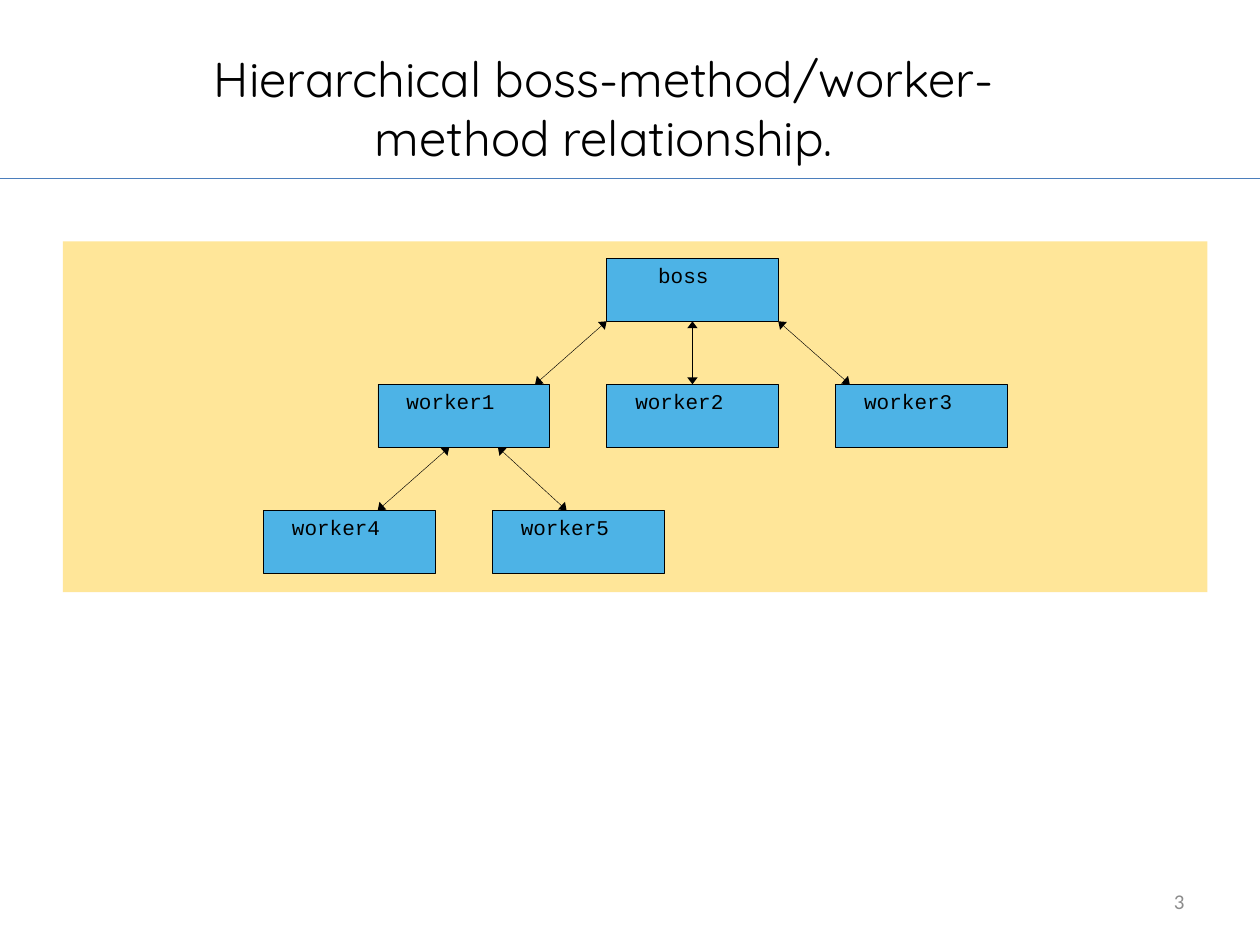
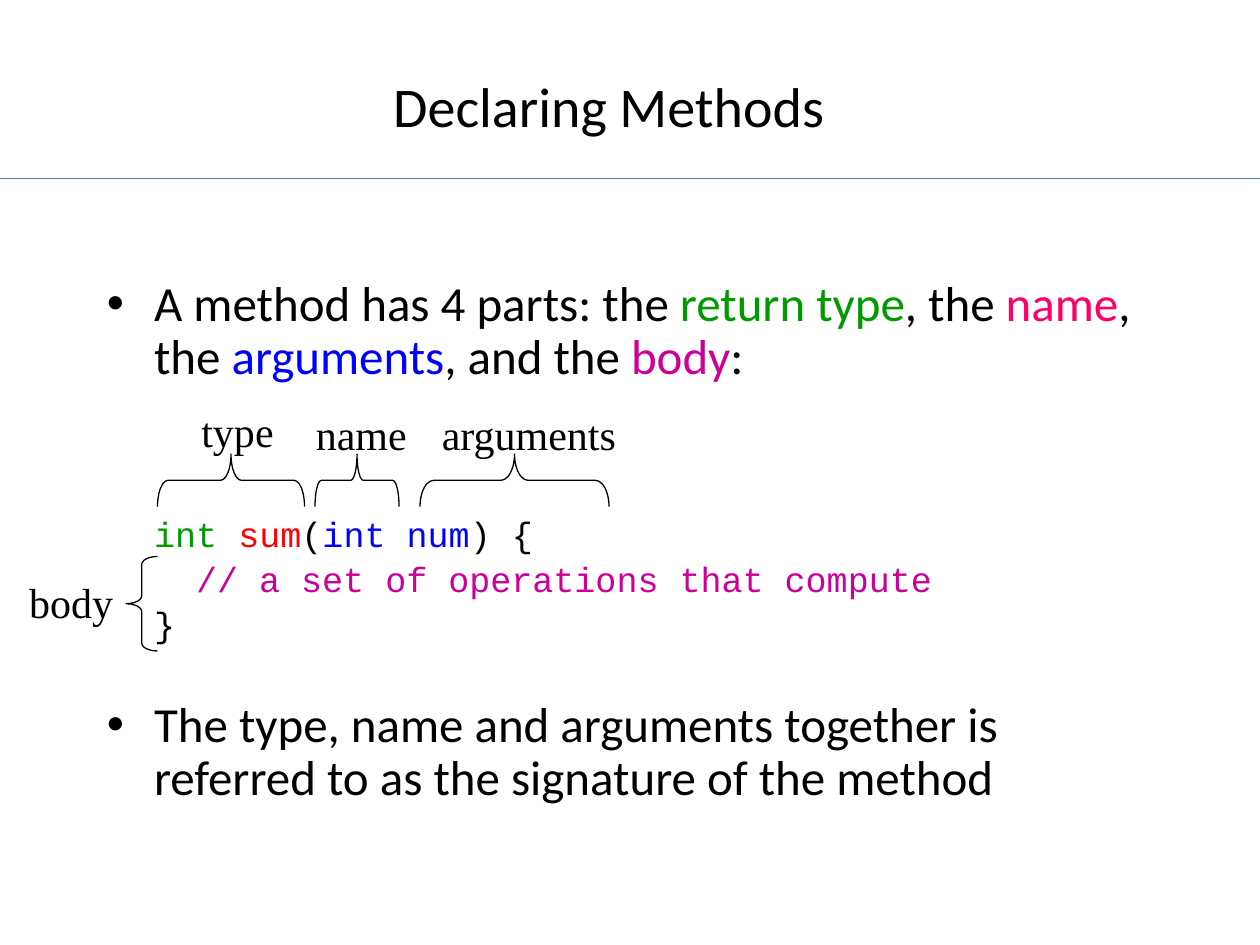
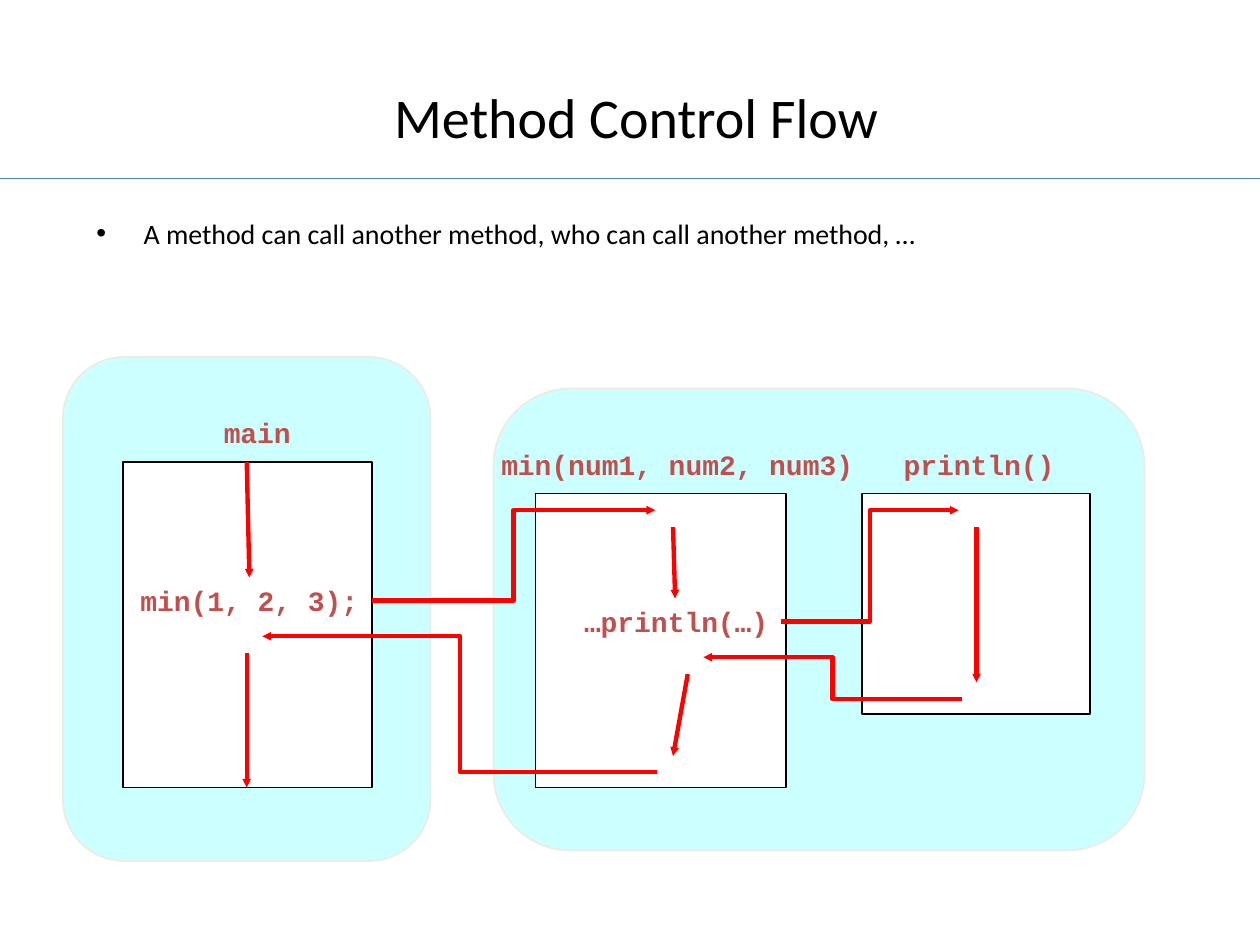
"""Three slides on methods: call hierarchy, declaration and control flow."""
from lxml import etree
from pptx import Presentation
from pptx import util as u
from pptx.dml.color import RGBColor
from pptx.enum import shapes, text
from pptx.oxml import ns

BLACK = RGBColor(0x00, 0x00, 0x00)
WHITE = RGBColor(0xFF, 0xFF, 0xFF)
GRAY = RGBColor(0x8C, 0x8C, 0x8C)
RULE = RGBColor(0x4B, 0x7E, 0xBC)
SAND = RGBColor(0xFF, 0xE6, 0x99)
SKY = RGBColor(0x4D, 0xB3, 0xE6)
AQUA = RGBColor(0xCC, 0xFF, 0xFF)
IVORY = RGBColor(0xEE, 0xEC, 0xE1)
BRICK = RGBColor(0xC0, 0x50, 0x4D)
RED = RGBColor(0xFF, 0x00, 0x00)
GREEN = RGBColor(0x00, 0x99, 0x00)
PINK = RGBColor(0xFF, 0x00, 0x66)
BLUE = RGBColor(0x00, 0x00, 0xFF)
PURPLE = RGBColor(0xCC, 0x00, 0x99)

SANS, MONO, SERIF = "Calibri", "Courier New", "Times New Roman"
LEFT, CENTER, RIGHT = (text.PP_ALIGN.LEFT, text.PP_ALIGN.CENTER,
                       text.PP_ALIGN.RIGHT)
TOP, MIDDLE = text.MSO_ANCHOR.TOP, text.MSO_ANCHOR.MIDDLE
KIND = shapes.MSO_SHAPE
STRAIGHT, ELBOW = shapes.MSO_CONNECTOR.STRAIGHT, shapes.MSO_CONNECTOR.ELBOW

prs = Presentation()
prs.slide_width, prs.slide_height = u.Inches(10), u.Inches(7.5)
COLS = 120
UNIT = prs.slide_width / COLS
HANG = 4.5


def add_box(s, box, kind=None, fill=None, line=None, width=1, paras=(),
            font=SANS, size=16, color=BLACK, bold=False, align=LEFT, **frame):
    """Add a shape, or a text box if no kind is given, measured in grid units."""
    place = [round(v * UNIT) for v in box]
    if kind is None:
        sp = s.shapes.add_textbox(*place)
    else:
        sp = s.shapes.add_shape(kind, *place)
        sp.shadow.inherit = False
        if fill is None:
            sp.fill.background()
        else:
            sp.fill.solid()
            sp.fill.fore_color.rgb = fill
        if line is None:
            sp.line.fill.background()
        else:
            sp.line.color.rgb = line
            sp.line.width = u.Pt(width)
    tf = sp.text_frame
    for name, value in {"word_wrap": True, **frame}.items():
        setattr(tf, name, value)
    for i, (runs, style) in enumerate(paras):
        p = tf.paragraphs[0] if i == 0 else tf.add_paragraph()
        p.alignment = align
        look = {"font": font, "size": size, "spacing": 1.0, "before": 0,
                "indent": 0, "bullet": False, **style}
        p.line_spacing, p.space_before = look["spacing"], u.Pt(look["before"])
        pPr = p._p.get_or_add_pPr()
        pPr.set("marL", str(round(look["indent"] * UNIT)))
        pPr.set("indent", str(round(-HANG * UNIT) if look["bullet"] else 0))
        if look["bullet"]:
            etree.SubElement(pPr, ns.qn("a:buFont"), typeface="Arial")
            etree.SubElement(pPr, ns.qn("a:buChar"), char="•")
        for words, tint in runs:
            r = p.add_run()
            r.text = words
            for name, value in {"name": look["font"], "bold": bold,
                                "size": u.Pt(look["size"])}.items():
                setattr(r.font, name, value)
            r.font.color.rgb = tint or color
    return sp


def connect(s, points, color, width, kind=STRAIGHT, ends=(), head="med"):
    """Draw a line between two grid points with arrowheads at the named ends."""
    c = s.shapes.add_connector(kind, *[round(v * UNIT) for v in points])
    c.line.color.rgb, c.line.width = color, u.Pt(width)
    for end in ends:
        etree.SubElement(c.line._get_or_add_ln(), ns.qn("a:" + end),
                         type="triangle", w=head, len="sm")
    etree.SubElement(c._element.spPr, ns.qn("a:effectLst"))


TITLES = [
    ("Hierarchical boss-method/worker-method relationship.",
     (14, 4, 87, 4), "Quicksand", 28, TOP),
    ("Declaring Methods", (24, 4, 68, 12), SANS, 32, MIDDLE),
    (" Method Control Flow", (6, 3.6, 108, 15), SANS, 32, MIDDLE),
]
slides = []
for title, box, font, size, anchor in TITLES:
    s = prs.slides.add_slide(prs.slide_layouts[6])
    connect(s, (0, 17, COLS, 17), RULE, 0.75)
    add_box(s, box, paras=[([(title, None)], {})], font=font, size=size,
            align=CENTER, vertical_anchor=anchor)
    slides.append(s)
hierarchy, declaring, flow = slides

add_box(hierarchy, (86, 83.4, 28, 4.8), paras=[([("3", None)], {})], size=12,
        color=GRAY, align=RIGHT, vertical_anchor=MIDDLE)
LEFT_EDGE, COL = 6, 5.45
TREE_TOP, ROW = 24.6, 6
add_box(hierarchy, (LEFT_EDGE, 23, 20 * COL, 33.4), KIND.RECTANGLE, SAND)
NODES = [("boss", 9.5, 0, 0.9), ("worker1", 5.5, 2, 0.5),
         ("worker2", 9.5, 2, 0.5), ("worker3", 13.5, 2, 0.5),
         ("worker4", 3.5, 4, 0.5), ("worker5", 7.5, 4, 0.5)]
for label, col, row, inset in NODES:
    add_box(hierarchy,
            (LEFT_EDGE + col * COL, TREE_TOP + row * ROW, 3 * COL, ROW),
            KIND.RECTANGLE, SKY, BLACK, 0.25,
            [([(label, None)], {"spacing": 0.64})], MONO, 12,
            vertical_anchor=TOP, margin_left=round(inset * COL * UNIT),
            margin_right=0, margin_top=u.Inches(0.1), margin_bottom=0)
LINKS = [(11, 11, 1), (9.5, 8.25, 1), (12.5, 13.75, 1),
         (6.75, 5.5, 3), (7.6, 8.8, 3)]
for upper, lower, row in LINKS:
    connect(hierarchy,
            (LEFT_EDGE + upper * COL, TREE_TOP + row * ROW,
             LEFT_EDGE + lower * COL, TREE_TOP + (row + 1) * ROW),
            BLACK, 0.25, ends=("headEnd", "tailEnd"))

POINT = {"size": 28, "spacing": 0.9, "indent": HANG, "bullet": True}
CODE = {"font": MONO, "size": 20, "spacing": 0.9, "before": 4, "indent": HANG}
add_box(declaring, (9, 26, 102, 61), paras=[
    ([("A method has 4 parts: the ", None), ("return type", GREEN),
      (", the ", None), ("name", PINK), (", the ", None), ("arguments", BLUE),
      (", and the ", None), ("body", PURPLE), (":", None)], POINT),
    ([("int ", GREEN), ("sum", RED), ("(", None), ("int num", BLUE),
      (") {", None)], {**CODE, "before": 75.7}),
    ([("// a set of operations that compute", PURPLE)],
     {**CODE, "indent": HANG + 4}),
    ([("}", None)], CODE),
    ([("The type, name and arguments together is referred to as the "
       "signature of the method", None)], {**POINT, "before": 31.5}),
])
brace = add_box(declaring, (12, 53, 3, 9), KIND.LEFT_BRACE, line=BLACK, width=0.75)
brace.adjustments[0] = 0.25
DEPTH, BRACE_MIDDLE = 5, 45.75
for left, span, curve in [(15, 14, 0.2), (30, 8, 0.12), (40, 18, 0.26)]:
    brace = add_box(declaring,
                    (left + (span - DEPTH) / 2, BRACE_MIDDLE - span / 2, DEPTH, span),
                    KIND.LEFT_BRACE, line=BLACK, width=0.75)
    brace.rotation = 90
    brace.adjustments[0] = curve
for label, x, y, w in [("type", 18, 38, 12), ("name", 28.9, 38.3, 12),
                       ("arguments", 40.9, 38.3, 20), ("body", 1.6, 54.3, 11)]:
    add_box(declaring, (x, y, w, 6), paras=[([(label, None)], {})],
            font=SERIF, size=24)

add_box(flow, (8, 20, 102, 61), paras=[
    ([("A method can call another method, who can call another method, …", None)],
     {"indent": HANG, "bullet": True})])
for box in [(47, 37, 62, 44), (6, 34, 35, 48)]:
    add_box(flow, box, KIND.FLOWCHART_ALTERNATE_PROCESS, AQUA, IVORY)
for box in [(51, 47, 23.85, 28), (82.1, 47, 21.7, 21), (11.7, 44, 23.75, 31)]:
    add_box(flow, box, KIND.RECTANGLE, WHITE, BLACK)
for label, middle, y, w in [
        ("min(num1, num2, num3)", 64.5, 42, 37), ("println()", 93.25, 42, 18),
        ("…println(…)", 64.4, 57, 21), ("min(1, 2, 3);", 23.75, 55, 24),
        ("main", 24.5, 39, 10)]:
    add_box(flow, (middle - w / 2, y, w, 4.4), paras=[([(label, None)], {})],
            font=MONO, color=BRICK, bold=True, align=CENTER,
            vertical_anchor=MIDDLE, word_wrap=False)
STEPS = [(23.5, 44, 23.75, 55), (23.5, 62.2, 23.5, 75), (93, 50.2, 93, 65),
         (64.1, 50.2, 64.3, 57), (65.5, 64.2, 64.1, 72)]
CALLS = [(62.6, 73.5, 25, 60.6), (74.4, 59.2, 91.3, 48.6),
         (35.4, 57.2, 62.4, 48.6), (91.6, 66.6, 67, 62.6)]
for kind, routes in [(STRAIGHT, STEPS), (ELBOW, CALLS)]:
    for points in routes:
        connect(flow, points, RED, 2.5, kind, ("tailEnd",), "sm")

prs.save("out.pptx")
